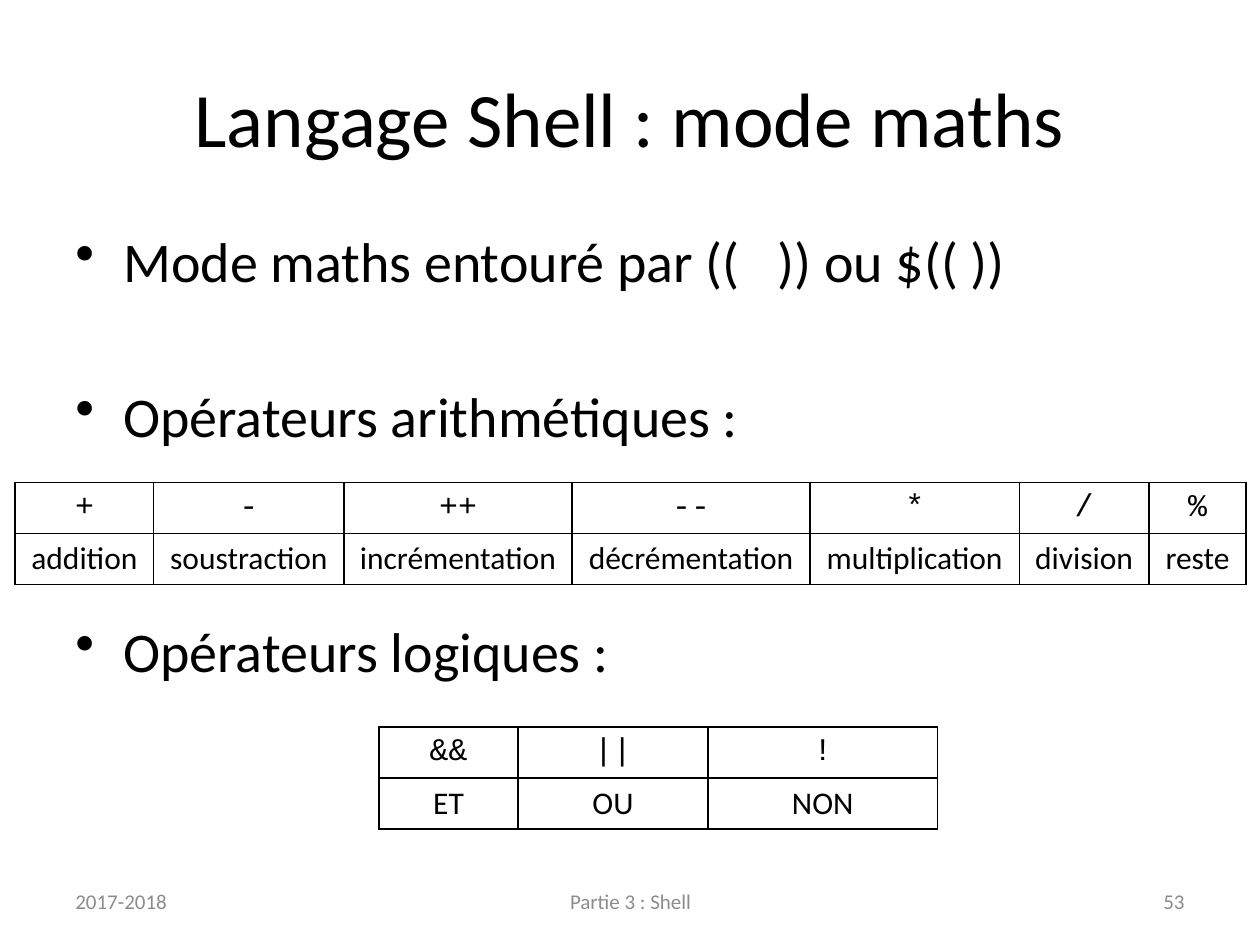
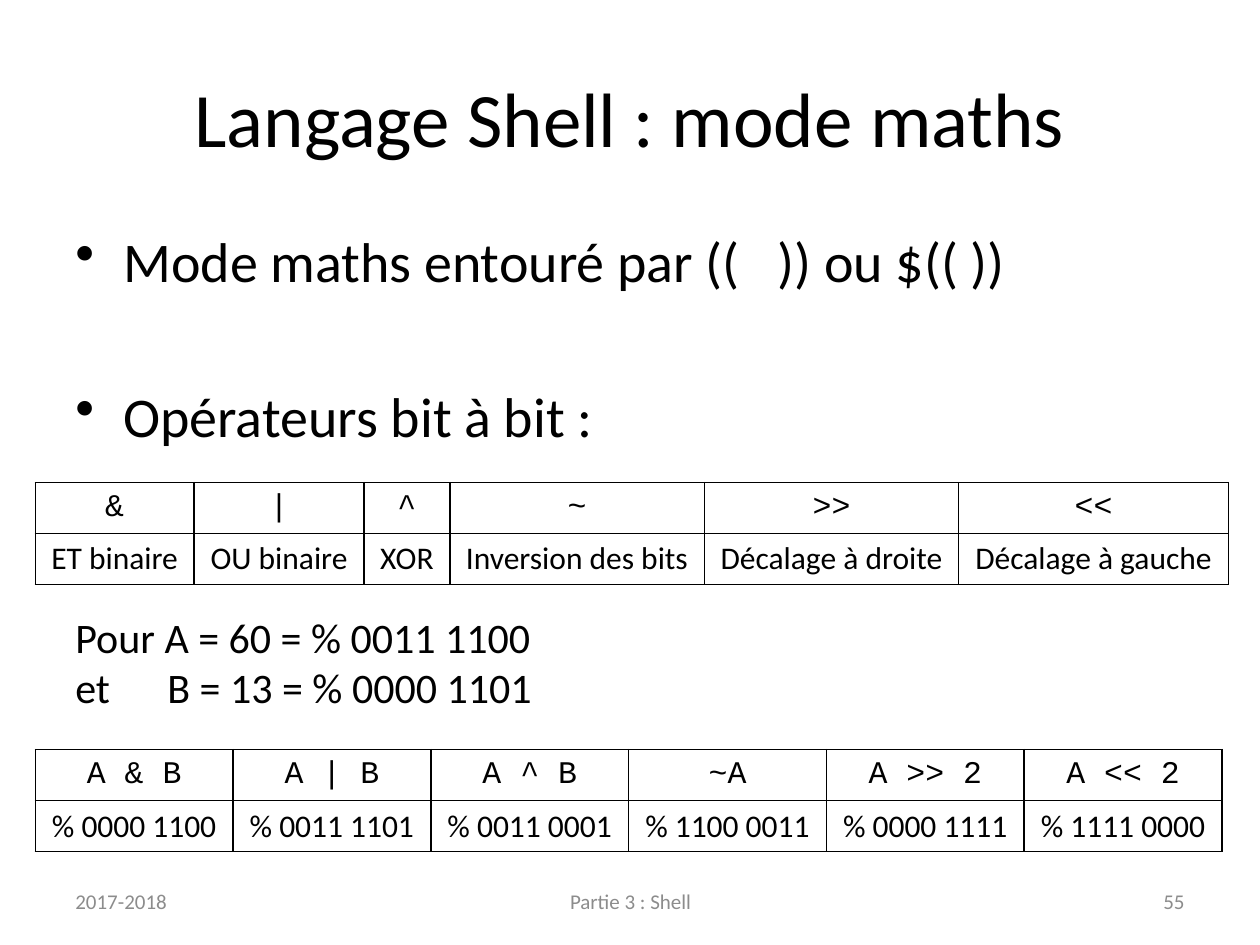
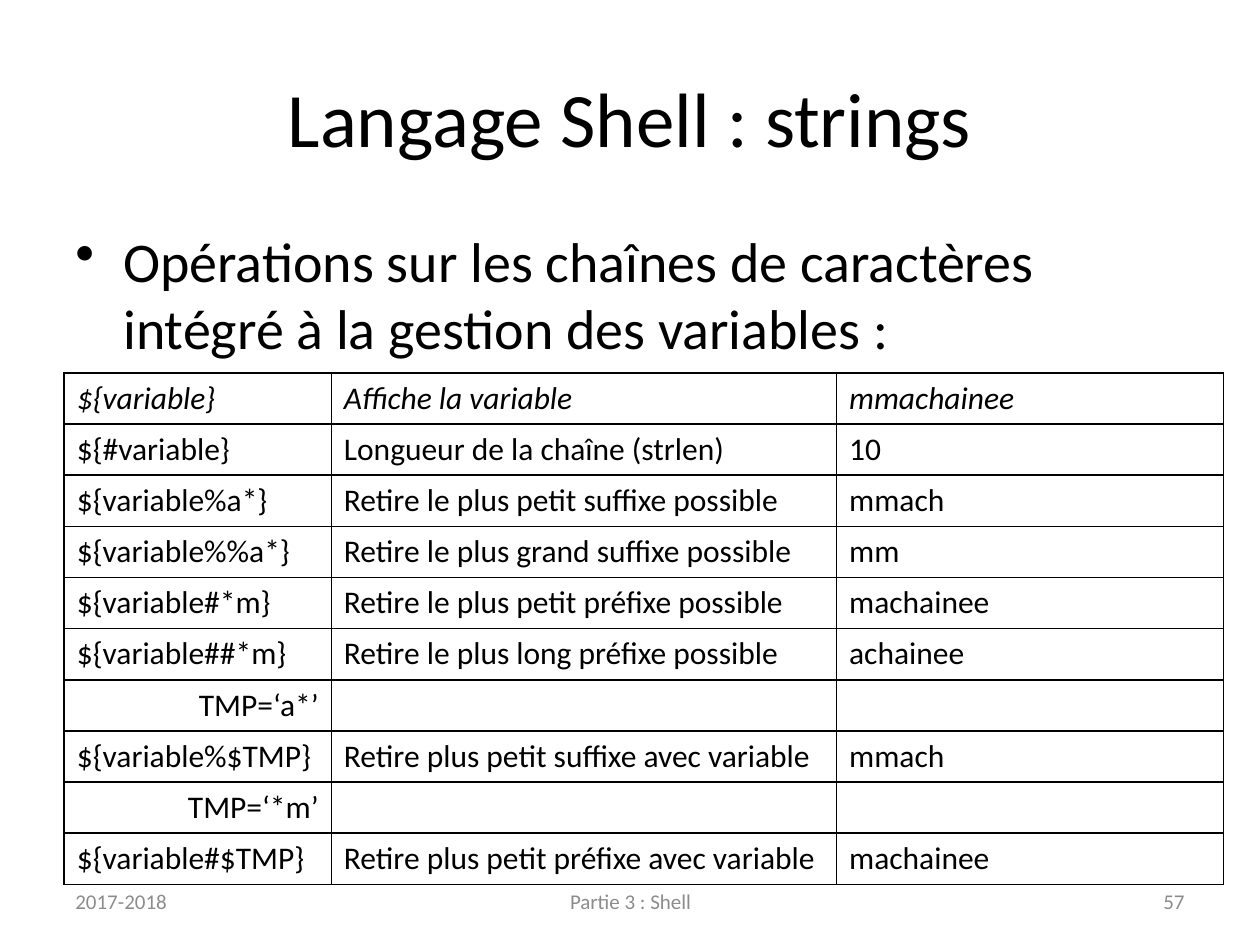
"""Builds three course slides on shell arithmetic and string operators."""
from dataclasses import dataclass

from lxml import etree
from pptx import Presentation
from pptx.dml.color import RGBColor
from pptx.enum import text
from pptx.oxml import ns
from pptx.util import Emu, Pt

EMU_PER_PX = 9144
LEFT, CENTER, RIGHT = text.PP_ALIGN.LEFT, text.PP_ALIGN.CENTER, text.PP_ALIGN.RIGHT
MIDDLE, TOP = text.MSO_ANCHOR.MIDDLE, text.MSO_ANCHOR.TOP


@dataclass(frozen=True)
class Theme:
    """Fonts, colours and type sizes of the deck."""
    font: str = "Calibri"
    code_font: str = "Courier New"
    ink: str = "000000"
    muted: str = "8C8C8C"
    title: int = 44
    body: int = 32
    example: int = 24
    cell: int = 18
    footer: int = 12
    border: int = 1


@dataclass(frozen=True)
class Box:
    """A rectangle in px, at 100 px to the inch."""
    left: int
    top: int
    width: int
    height: int

    def emu(self) -> tuple[Emu, ...]:
        """Return the four lengths in EMU."""
        return tuple(px(n) for n in (self.left, self.top, self.width, self.height))


@dataclass(frozen=True)
class BodyLine:
    """A body paragraph with the space before it in points."""
    words: str
    before: int = 0
    size: int = Theme.body
    bullet: bool = True


@dataclass(frozen=True)
class Grid:
    """A table given by its corner, column widths and rows of words."""
    left: int
    top: int
    height: int
    columns: tuple[int, ...]
    rows: tuple[tuple[str, ...], ...]
    operators: bool = True


@dataclass(frozen=True)
class Footer:
    """One footer field."""
    box: Box
    align: text.PP_ALIGN
    words: str


@dataclass(frozen=True)
class Page:
    """The content of one slide."""
    number: int
    title: str
    lines: tuple[BodyLine, ...]
    grids: tuple[Grid, ...]


THEME = Theme()
TITLE_BOX = Box(50, 30, 900, 125)
BODY_BOX = Box(50, 175, 900, 495)
INDENT = 38
EXAMPLE_TAB = 73
SECTION_GAP = 50
TABLE_GAP = 96
EXAMPLE_GAP = 93
TABLE_TOP = 383
PAIR_HEIGHT = 81

MATHS_TITLE = "Langage Shell : mode maths"
MATHS_INTRO = BodyLine("Mode maths entouré par ((   )) ou $(( ))")

PAGES = (
    Page(53, MATHS_TITLE, (
        MATHS_INTRO,
        BodyLine("Opérateurs arithmétiques :", SECTION_GAP),
        BodyLine("Opérateurs logiques :", TABLE_GAP),
    ), (
        Grid(12, TABLE_TOP, PAIR_HEIGHT, (110, 151, 181, 189, 166, 103, 77), (
            ("+", "-", "++", "--", "*", "/", "%"),
            ("addition", "soustraction", "incrémentation", "décrémentation",
             "multiplication", "division", "reste"),
        )),
        Grid(301, 577, PAIR_HEIGHT, (110, 151, 182), (
            ("&&", "||", "!"),
            ("ET", "OU", "NON"),
        )),
    )),
    Page(55, MATHS_TITLE, (
        MATHS_INTRO,
        BodyLine("Opérateurs bit à bit :", SECTION_GAP),
        BodyLine("Pour A = 60 = % 0011 1100\net\tB = 13 = % 0000 1101",
                 EXAMPLE_GAP, THEME.example, bullet=False),
    ), (
        Grid(28, TABLE_TOP, PAIR_HEIGHT, (126, 135, 68, 202, 202, 214), (
            ("&", "|", "^", "~", ">>", "<<"),
            ("ET binaire", "OU binaire", "XOR", "Inversion des bits",
             "Décalage à droite", "Décalage à gauche"),
        )),
        Grid(28, 595, PAIR_HEIGHT, (157,) * 6, (
            ("A & B", "A | B", "A ^ B", "~A", "A >> 2", "A << 2"),
            ("% 0000 1100", "% 0011 1101", "% 0011 0001",
             "% 1100 0011", "% 0000 1111", "% 1111 0000"),
        )),
    )),
    Page(57, "Langage Shell : strings", (
        BodyLine("Opérations sur les chaînes de caractères intégré à la gestion des variables :"),
    ), (
        Grid(51, 296, 406, (212, 401, 307), (
            ("${variable}", "Affiche la variable", "mmachainee"),
            ("${#variable}", "Longueur de la chaîne (strlen)", "10"),
            ("${variable%a*}", "Retire le plus petit suffixe possible", "mmach"),
            ("${variable%%a*}", "Retire le plus grand suffixe possible", "mm"),
            ("${variable#*m}", "Retire le plus petit préfixe possible", "machainee"),
            ("${variable##*m}", "Retire le plus long préfixe possible", "achainee"),
            ("TMP=‘a*’", "", ""),
            ("${variable%$TMP}", "Retire plus petit suffixe avec variable", "mmach"),
            ("TMP=‘*m’", "", ""),
            ("${variable#$TMP}", "Retire plus petit préfixe avec variable", "machainee"),
        ), operators=False),
    )),
)


def px(length: int) -> Emu:
    """Turn px into EMU."""
    return Emu(length * EMU_PER_PX)


def add_element(parent, tag: str, **attributes: str):
    """Append an XML element to a parent and return it."""
    return etree.SubElement(parent, ns.qn(tag), attributes)


def format_paragraph(paragraph, size: int, align=LEFT, color: str = THEME.ink,
                     font: str = THEME.font, italic: bool = False) -> None:
    """Align a paragraph and format its runs."""
    paragraph.alignment = align
    for run in paragraph.runs:
        run.font.name, run.font.size, run.font.italic = font, Pt(size), italic
        run.font.color.rgb = RGBColor.from_string(color)


def add_text_frame(slide, box: Box, anchor):
    """Add a wrapping text box and return its text frame."""
    text_frame = slide.shapes.add_textbox(*box.emu()).text_frame
    text_frame.word_wrap = True
    text_frame.vertical_anchor = anchor
    return text_frame


def set_title(slide, words: str) -> None:
    """Fill and place the title placeholder."""
    title = slide.shapes.title
    title.left, title.top, title.width, title.height = TITLE_BOX.emu()
    title.text_frame.text = words
    title.text_frame.vertical_anchor = MIDDLE
    format_paragraph(title.text_frame.paragraphs[0], THEME.title, CENTER)


def add_body(slide, lines: tuple[BodyLine, ...]) -> None:
    """Add the body lines, bulleted or with a tab stop."""
    text_frame = add_text_frame(slide, BODY_BOX, TOP)
    for index, line in enumerate(lines):
        paragraph = text_frame.add_paragraph() if index else text_frame.paragraphs[0]
        paragraph.text = line.words
        paragraph.space_before = Pt(line.before)
        format_paragraph(paragraph, line.size)
        properties = paragraph._p.get_or_add_pPr()
        if line.bullet:
            properties.set("marL", str(px(INDENT)))
            properties.set("indent", str(px(-INDENT)))
            add_element(properties, "a:buChar", char="•")
        else:
            tabs = add_element(properties, "a:tabLst")
            add_element(tabs, "a:tab", pos=str(px(EXAMPLE_TAB)), algn="l")


def add_footers(slide, number: int) -> None:
    """Add the year, the part name and the slide number."""
    for footer in (
        Footer(Box(50, 695, 233, 40), LEFT, "2017-2018"),
        Footer(Box(342, 695, 317, 40), CENTER, "Partie 3 : Shell"),
        Footer(Box(717, 695, 233, 40), RIGHT, str(number)),
    ):
        text_frame = add_text_frame(slide, footer.box, MIDDLE)
        text_frame.text = footer.words
        format_paragraph(text_frame.paragraphs[0], THEME.footer, footer.align, THEME.muted)


def set_borders(cell) -> None:
    """Draw the four borders of a cell."""
    properties = cell._tc.get_or_add_tcPr()
    for index, side in enumerate("LRTB"):
        line = add_element(properties, f"a:ln{side}", w=str(Pt(THEME.border)))
        add_element(add_element(line, "a:solidFill"), "a:srgbClr", val=THEME.ink)
        properties.insert(index, line)


def format_cell(cell, grid: Grid, row: int) -> None:
    """Format a cell as an operator, its label or a string example."""
    paragraph = cell.text_frame.paragraphs[0]
    if grid.operators:
        cell.vertical_anchor = MIDDLE
        font = THEME.font if row else THEME.code_font
        format_paragraph(paragraph, THEME.cell, CENTER, font=font)
    else:
        align = RIGHT if paragraph.text.startswith("TMP=") else LEFT
        format_paragraph(paragraph, THEME.cell, align, italic=row == 0)
    cell.fill.background()
    set_borders(cell)


def add_grid(slide, grid: Grid) -> None:
    """Add a bordered table without fill."""
    box = Box(grid.left, grid.top, sum(grid.columns), grid.height)
    table = slide.shapes.add_table(len(grid.rows), len(grid.columns), *box.emu()).table
    table.first_row = table.horz_banding = False
    for column, width in zip(table.columns, grid.columns):
        column.width = px(width)
    for row, row_words in enumerate(grid.rows):
        for column, words in enumerate(row_words):
            cell = table.cell(row, column)
            cell.text_frame.text = words
            format_cell(cell, grid, row)


def main() -> None:
    """Build and save the presentation."""
    presentation = Presentation()
    presentation.slide_width, presentation.slide_height = px(1000), px(750)
    title_only = presentation.slide_layouts.get_by_name("Title Only")
    for page in PAGES:
        slide = presentation.slides.add_slide(title_only)
        set_title(slide, page.title)
        add_body(slide, page.lines)
        add_footers(slide, page.number)
        for grid in page.grids:
            add_grid(slide, grid)
    presentation.save("out.pptx")


if __name__ == "__main__":
    main()
